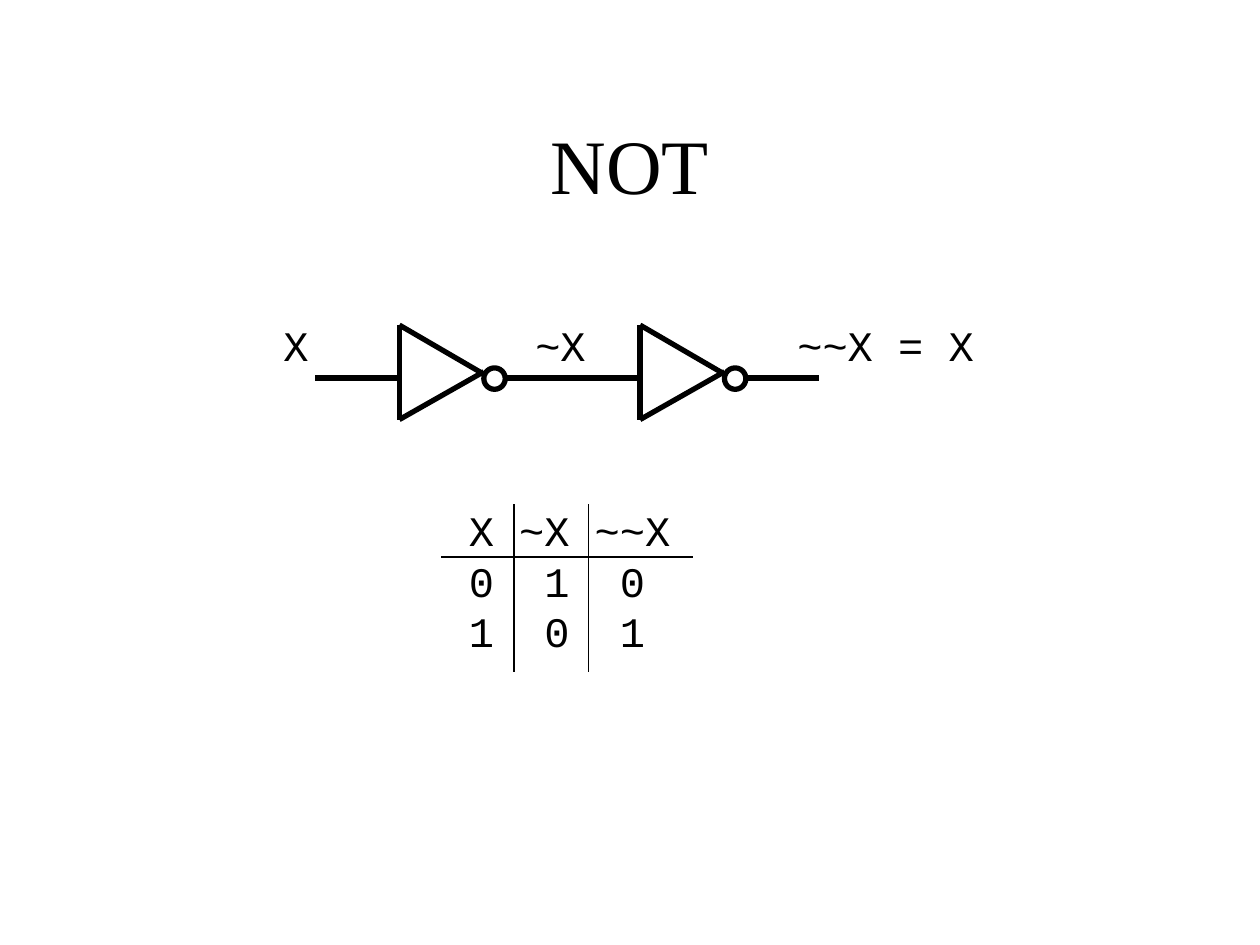
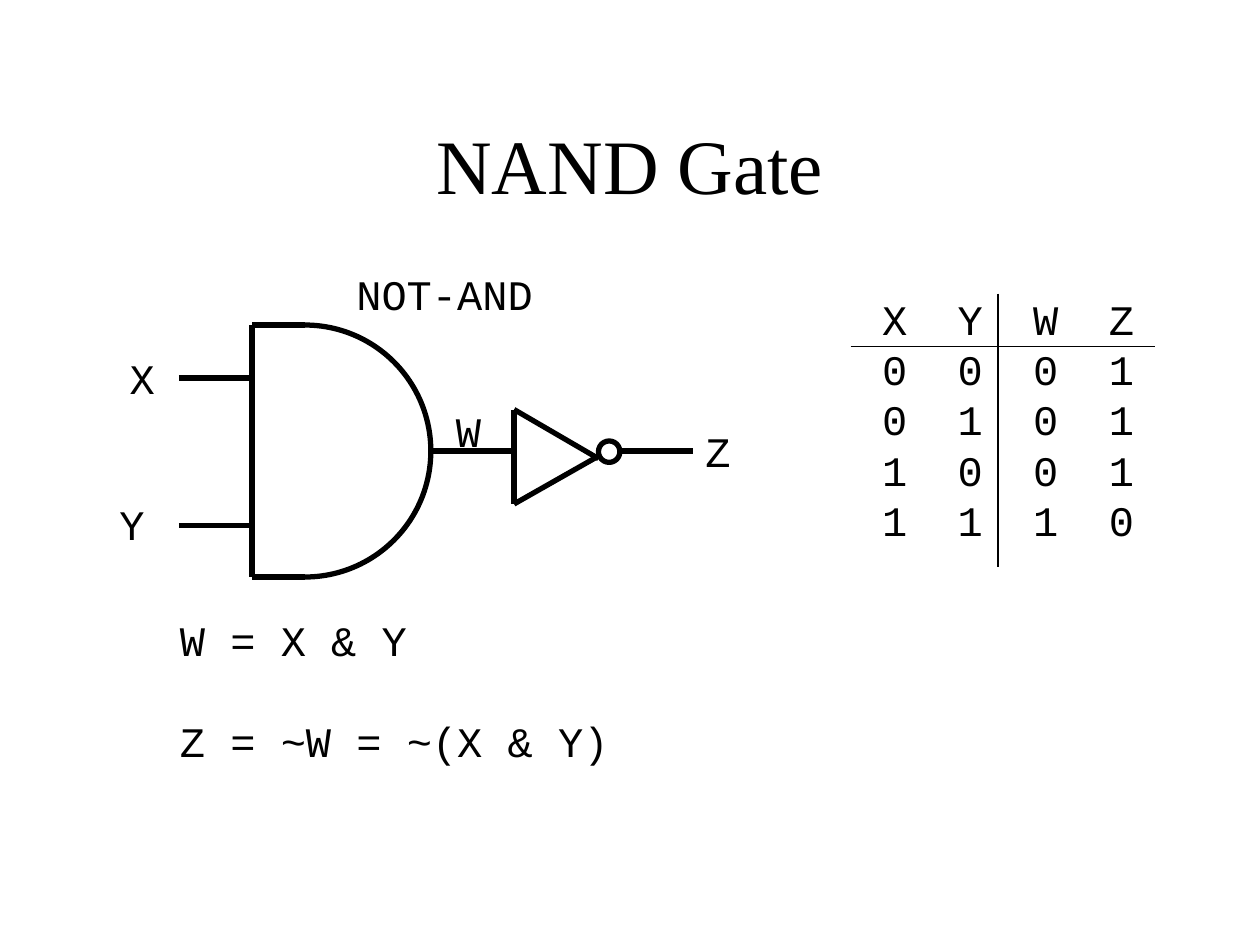
from dataclasses import dataclass

from lxml import etree
from pptx import Presentation
from pptx.dml.color import RGBColor
from pptx.enum.shapes import MSO_CONNECTOR, MSO_SHAPE
from pptx.enum.text import MSO_ANCHOR, PP_ALIGN
from pptx.oxml.ns import qn
from pptx.util import Inches, Pt

STRAIGHT = MSO_CONNECTOR.STRAIGHT
ARC, OVAL = MSO_SHAPE.ARC, MSO_SHAPE.OVAL
MIDDLE = MSO_ANCHOR.MIDDLE
LEFT, CENTER, RIGHT = PP_ALIGN.LEFT, PP_ALIGN.CENTER, PP_ALIGN.RIGHT


@dataclass(frozen=True)
class Theme:
    ink: RGBColor = RGBColor(0, 0, 0)
    paper: RGBColor = RGBColor(255, 255, 255)
    title_font: str = "Times New Roman"
    title_size: float = 44
    code_font: str = "Courier New"
    code_size: float = 24
    wire_width: float = 3
    rule_width: float = 0.75
    character_width: float = 0.2  # inches per code character
    line_height: float = 0.4  # inches per code line


THEME = Theme()


# Text
def format_paragraph(paragraph, font_name, size, alignment=LEFT):
    paragraph.alignment = alignment
    for run in paragraph.runs:
        run.font.name = font_name
        run.font.size = Pt(size)
        run.font.color.rgb = THEME.ink


def add_title(slide, text):
    box = slide.shapes.add_textbox(Inches(0.75), Inches(0.67), Inches(8.5), Inches(1.25))
    frame = box.text_frame
    frame.word_wrap = True
    frame.vertical_anchor = MIDDLE
    frame.text = text
    format_paragraph(frame.paragraphs[0], THEME.title_font, THEME.title_size, CENTER)


def add_code(slide, left, top, *lines):
    """Code lines, with one line of space between them."""
    width = max(map(len, lines)) * THEME.character_width + 0.2
    height = (2 * len(lines) - 1) * THEME.line_height + 0.1
    box = slide.shapes.add_textbox(Inches(left), Inches(top), Inches(width), Inches(height))
    frame = box.text_frame
    frame.word_wrap = False
    frame.text = "\n".join(lines)
    for index, paragraph in enumerate(frame.paragraphs):
        format_paragraph(paragraph, THEME.code_font, THEME.code_size)
        if index:
            paragraph.space_before = Inches(THEME.line_height)


# Lines and gates
def add_line(shapes, start, end, width=THEME.wire_width):
    line = shapes.add_connector(STRAIGHT, *map(Inches, start + end))
    line.line.color.rgb = THEME.ink
    line.line.width = Pt(width)
    etree.SubElement(line._element.spPr, qn("a:effectLst"))


def add_outline(shapes, kind, left, top, size):
    shape = shapes.add_shape(kind, Inches(left), Inches(top), Inches(size), Inches(size))
    shape.shadow.inherit = False
    shape.fill.background()
    shape.line.color.rgb = THEME.ink
    shape.line.width = Pt(THEME.wire_width)
    return shape


def add_inverter(slide, left, top, wire_y):
    shapes = slide.shapes.add_group_shape().shapes
    bottom, tip = top + 0.75, left + 0.67
    add_line(shapes, (left, top), (left, bottom))
    add_line(shapes, (left, top), (tip, top + 0.39))
    add_line(shapes, (left, bottom), (tip, top + 0.37))
    add_line(shapes, (left - 0.67, wire_y), (left, wire_y))
    add_line(shapes, (tip + 0.17, wire_y), (tip + 0.75, wire_y))
    add_outline(shapes, OVAL, tip, wire_y - 0.08, 0.17)


def add_and_gate(slide, left, top, input_ys):
    shapes = slide.shapes.add_group_shape().shapes
    size, straight = 2, 0.42
    bottom = top + size
    for y in (top, bottom):
        add_line(shapes, (left, y), (left + straight, y))
    add_line(shapes, (left, top), (left, bottom))
    for y in input_ys:
        add_line(shapes, (left - 0.58, y), (left, y))
    curve = add_outline(shapes, ARC, left + straight - size / 2, top, size)
    curve.adjustments[0] = 162  # from the top, in 1/100000 of 60000 per degree
    curve.adjustments[1] = 54  # to the bottom


# Truth tables
def add_truth_table(slide, left, top, widths, alignments, rows):
    frame = slide.shapes.add_table(
        len(rows), len(widths), Inches(left), Inches(top),
        Inches(sum(widths)), Inches(len(rows) * THEME.line_height))
    table = frame.table
    table.first_row = table.horz_banding = False
    for column, width in zip(table.columns, widths):
        column.width = Inches(width)
    for row, values in zip(table.rows, rows):
        row.height = Inches(THEME.line_height)
        for cell, value, alignment in zip(row.cells, values, alignments):
            cell.fill.background()
            cell.margin_left = cell.margin_right = 0
            cell.margin_top = cell.margin_bottom = 0
            cell.vertical_anchor = MIDDLE
            cell.text_frame.text = value
            format_paragraph(cell.text_frame.paragraphs[0], THEME.code_font,
                             THEME.code_size, alignment)


def add_table_rules(slide, left, right, header_y, top, bottom, divider_xs):
    add_line(slide.shapes, (left, header_y), (right, header_y), THEME.rule_width)
    for x in divider_xs:
        add_line(slide.shapes, (x, top), (x, bottom), THEME.rule_width)


# Slides
def add_slide(presentation, title):
    slide = presentation.slides.add_slide(presentation.slide_layouts[6])
    slide.background.fill.solid()
    slide.background.fill.fore_color.rgb = THEME.paper
    add_title(slide, title)
    return slide


def build_not_slide(presentation):
    slide = add_slide(presentation, "NOT")
    for left in (3.17, 5.08):
        add_inverter(slide, left, 2.58, 3)
    for left, label in ((2.15, "X"), (4.15, "~X"), (6.23, "~~X = X")):
        add_code(slide, left, 2.49, label)
    add_truth_table(slide, 3.52, 4.05, (0.4, 0.6, 1), (RIGHT, RIGHT, CENTER),
                    (("X", "~X", "~~X"), "010", "101"))
    add_table_rules(slide, 3.5, 5.5, 4.42, 4, 5.33, (4.08, 4.67))


def build_nand_slide(presentation):
    slide = add_slide(presentation, "NAND Gate")
    add_and_gate(slide, 2, 2.58, (3, 4.17))
    add_inverter(slide, 4.08, 3.25, 3.58)
    for left, top, label in ((2.73, 2.08, "NOT-AND"), (0.93, 2.75, "X"),
                             (0.85, 3.91, "Y"), (3.52, 3.17, "W"), (5.5, 3.33, "Z")):
        add_code(slide, left, top, label)
    add_code(slide, 1.33, 4.83, "W = X & Y", "Z = ~W = ~(X & Y)")
    add_truth_table(slide, 6.8, 2.37, [0.6] * 4, [CENTER] * 4,
                    ("XYWZ", "0001", "0101", "1001", "1110"))
    add_table_rules(slide, 6.75, 9.17, 2.75, 2.33, 4.5, (7.92,))


def main():
    presentation = Presentation()
    presentation.slide_width, presentation.slide_height = Inches(10), Inches(7.5)
    build_not_slide(presentation)
    build_nand_slide(presentation)
    presentation.save("out.pptx")


if __name__ == "__main__":
    main()
